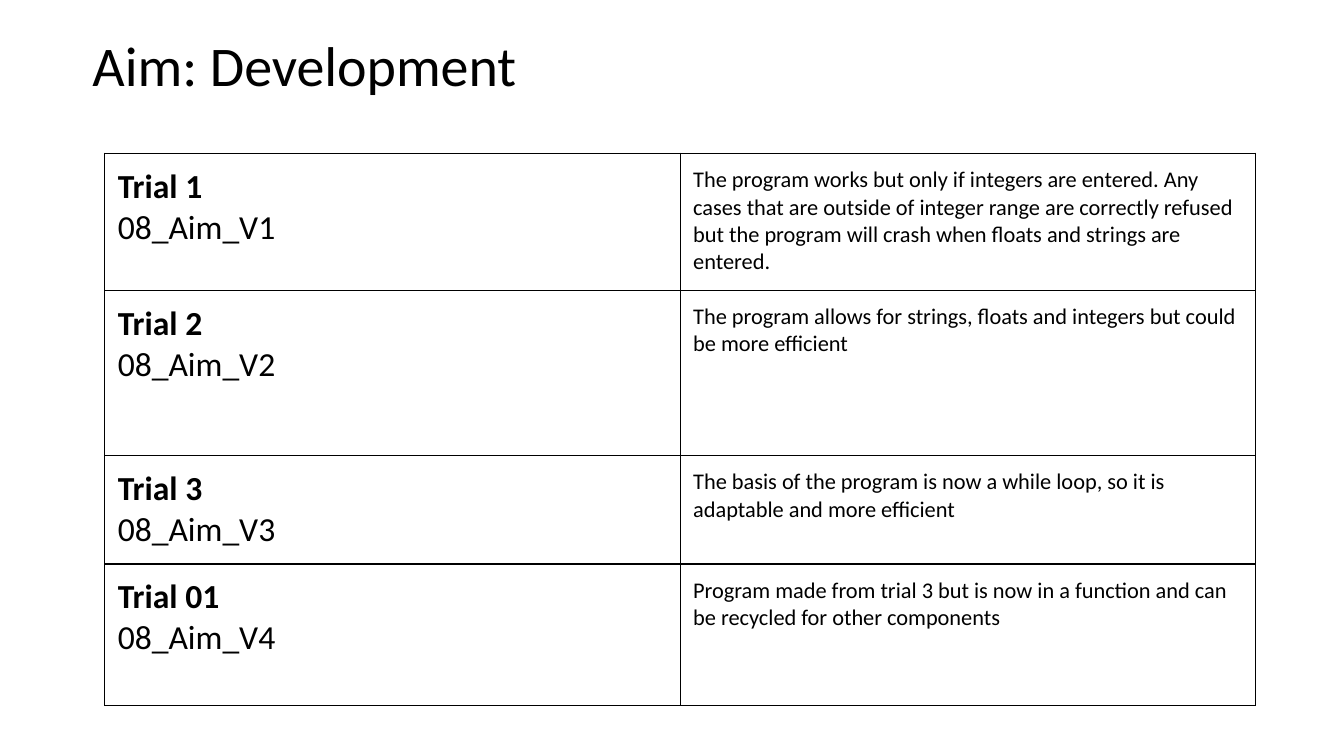
from dataclasses import dataclass

from lxml.etree import SubElement
from pptx import Presentation
from pptx.dml.color import RGBColor
from pptx.enum.text import MSO_ANCHOR
from pptx.oxml.ns import qn
from pptx.util import Cm, Pt


@dataclass(frozen=True)
class Theme:
    """Colours, font and type sizes of the slide."""
    font: str = "Calibri"
    ink: str = "000000"
    title_size: int = 40
    trial_size: int = 24
    remark_size: int = 16
    border_width: float = 1


THEME = Theme()

TRIALS = [
    ("Trial 1", "08_Aim_V1", 3.45,
     "The program works but only if integers are entered. Any cases that are outside "
     "of integer range are correctly refused but the program will crash when floats "
     "and strings are entered."),
    ("Trial 2", "08_Aim_V2", 4.16,
     "The program allows for strings, floats and integers but could be more efficient"),
    ("Trial 3", "08_Aim_V3", 2.74,
     "The basis of the program is now a while loop, so it is adaptable and more efficient"),
    ("Trial 01", "08_Aim_V4", 3.56,
     "Program made from trial 3 but is now in a function and can be recycled for other "
     "components"),
]


def add_run(paragraph, text, size, bold=False):
    """Add one styled run to a paragraph."""
    run = paragraph.add_run()
    run.text = text
    run.font.name = THEME.font
    run.font.size = Pt(size)
    run.font.bold = bold
    run.font.color.rgb = RGBColor.from_string(THEME.ink)


def style_cell(cell):
    """Give a cell even margins, no fill and a thin border on each side."""
    cell.margin_left = cell.margin_right = Cm(0.33)
    cell.margin_top = cell.margin_bottom = Cm(0.33)
    properties = cell._tc.get_or_add_tcPr()
    for side in ("a:lnL", "a:lnR", "a:lnT", "a:lnB"):
        border = SubElement(properties, qn(side), w=str(Pt(THEME.border_width)))
        ink = SubElement(border, qn("a:solidFill"))
        SubElement(ink, qn("a:srgbClr"), val=THEME.ink)
    cell.fill.background()


def add_title(slide, left, top, width, height):
    """Place the heading, centred vertically in its box."""
    frame = slide.shapes.add_textbox(left, top, width, height).text_frame
    frame.word_wrap = True
    frame.vertical_anchor = MSO_ANCHOR.MIDDLE
    heading = frame.paragraphs[0]
    heading.line_spacing = 0.9
    add_run(heading, "Aim: Development", THEME.title_size)


def add_trials(slide, left, top, width, height):
    """Place the table of trials and the remarks on them."""
    table = slide.shapes.add_table(len(TRIALS), 2, left, top, width, height).table
    table.first_row = table.horz_banding = False
    for row, (trial, version, row_height, remark) in zip(table.rows, TRIALS):
        row.height = Cm(row_height)
        trial_cell, remark_cell = row.cells
        for cell in (trial_cell, remark_cell):
            style_cell(cell)
        label = trial_cell.text_frame
        add_run(label.paragraphs[0], trial, THEME.trial_size, bold=True)
        add_run(label.add_paragraph(), version, THEME.trial_size)
        add_run(remark_cell.text_frame.paragraphs[0], remark, THEME.remark_size)


def main():
    """Build the slide and save it."""
    deck = Presentation()
    deck.slide_width, deck.slide_height = Cm(33.87), Cm(19.05)
    slide = deck.slides.add_slide(deck.slide_layouts[6])
    add_title(slide, Cm(2.08), Cm(0.61), Cm(29.21), Cm(2.24))
    table_height = sum(row_height for _, _, row_height, _ in TRIALS)
    add_trials(slide, Cm(2.64), Cm(3.86), Cm(29), Cm(table_height))
    deck.save("out.pptx")


if __name__ == "__main__":
    main()
